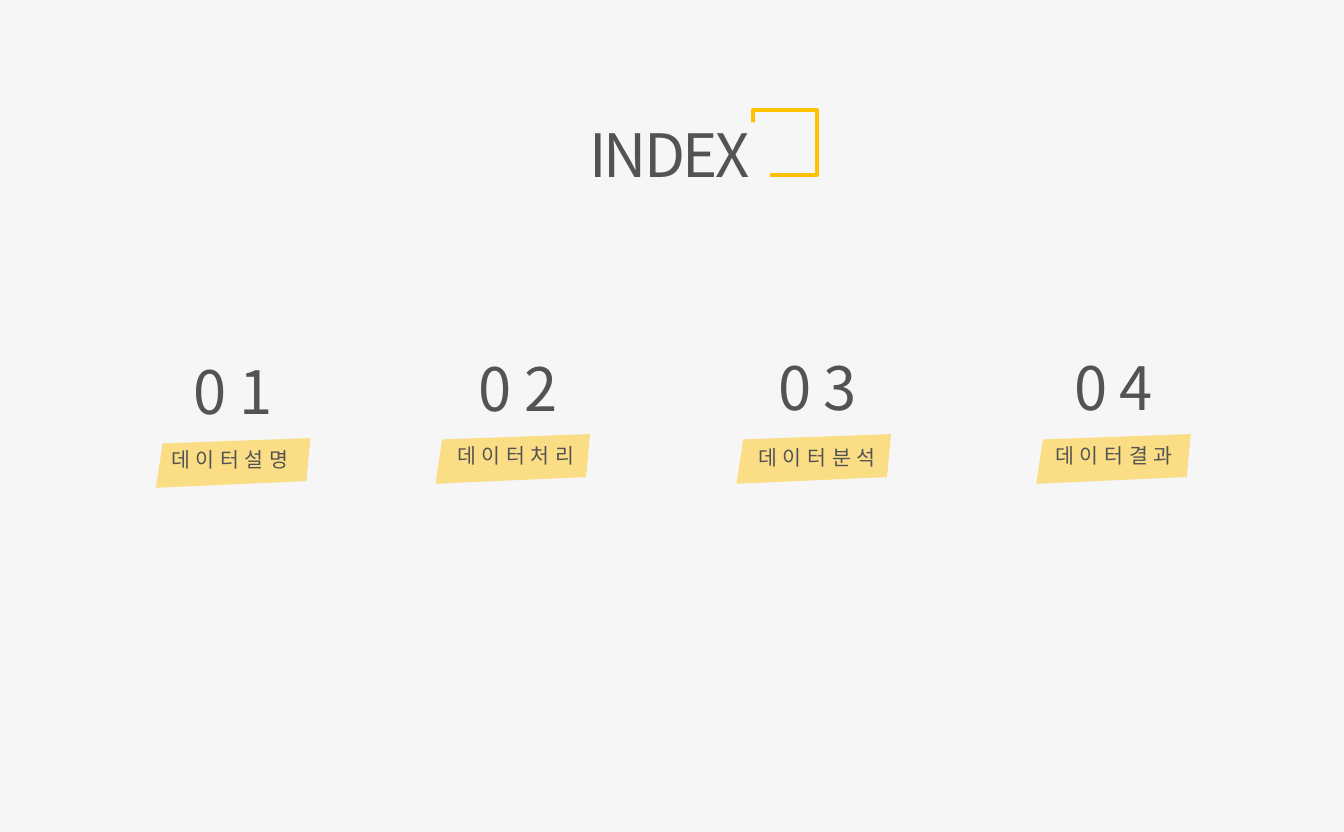
from typing import NamedTuple

from lxml import etree
from pptx import Presentation
from pptx.dml.color import RGBColor
from pptx.enum.shapes import MSO_SHAPE
from pptx.enum.text import MSO_AUTO_SIZE, PP_ALIGN
from pptx.oxml.ns import qn
from pptx.util import Inches, Pt

RECT = MSO_SHAPE.RECTANGLE
CENTER = PP_ALIGN.CENTER
GROW = MSO_AUTO_SIZE.SHAPE_TO_FIT_TEXT

PAPER = RGBColor(0xF6, 0xF6, 0xF6)
GOLD = RGBColor(0xFF, 0xC0, 0x00)
GREY = RGBColor(0x53, 0x53, 0x53)
FONT = "Noto Sans CJK KR"


class Point(NamedTuple):
    x: float
    y: float


class Style(NamedTuple):
    width: float
    height: float
    size: float
    space: float


class Item(NamedTuple):
    num: str
    label: str
    patch: Point
    num_at: Point
    label_at: Point


TITLE = Style(1.44, 0.64, 32, -1.5)
NUMBER = Style(1.15, 0.71, 32, 6.5)
LABEL = Style(1.36, 0.32, 11, 3)

# Corners of the slanted patch, from its top left
PATCH = [Point(0.05, 0.04), Point(1.15, 0), Point(1.12, 0.32), Point(0, 0.37)]

ITEMS = [
    Item("01", "데이터설명", Point(1.16, 3.26), Point(1.16, 2.59), Point(1.03, 3.28)),
    Item("02", "데이터처리", Point(3.24, 3.23), Point(3.28, 2.57), Point(3.16, 3.25)),
    Item("03", "데이터분석", Point(5.48, 3.23), Point(5.51, 2.56), Point(5.4, 3.26)),
    Item("04", "데이터결과", Point(7.71, 3.23), Point(7.71, 2.56), Point(7.61, 3.25)),
]


def add_text(shapes, words: str, at: Point, style: Style) -> None:
    box = shapes.add_textbox(Inches(at.x), Inches(at.y),
                             Inches(style.width), Inches(style.height))
    frame = box.text_frame
    frame.word_wrap = False
    frame.auto_size = GROW
    para = frame.paragraphs[0]
    para.alignment = CENTER
    run = para.add_run()
    run.text = words
    run.font.size = Pt(style.size)
    run.font.name = FONT
    run.font.color.rgb = GREY
    props = run.font._element
    props.set("spc", str(round(style.space * 100)))
    latin = props.find(qn("a:latin"))
    east = etree.Element(qn("a:ea"), typeface=FONT)
    latin.addnext(east)


def add_patch(shapes, at: Point) -> None:
    spots = [(Inches(at.x + p.x), Inches(at.y + p.y)) for p in PATCH]
    path = shapes.build_freeform(*spots[0])
    path.add_line_segments(spots[1:], close=True)
    patch = path.convert_to_shape()
    patch.shadow.inherit = False
    patch.fill.solid()
    patch.fill.fore_color.rgb = GOLD
    patch.line.fill.background()
    color = patch._element.spPr.find(qn("a:solidFill"))[0]
    etree.SubElement(color, qn("a:alpha"), val="46000")


def add_item(shapes, item: Item) -> None:
    add_patch(shapes, item.patch)
    add_text(shapes, item.num, item.num_at, NUMBER)
    add_text(shapes, item.label, item.label_at, LABEL)


def add_title(shapes) -> None:
    """Draw a square frame, a mask that opens its corner, and the title."""
    frame = shapes.add_shape(RECT, Inches(5.6), Inches(0.82),
                             Inches(0.48), Inches(0.48))
    frame.shadow.inherit = False
    frame.fill.background()
    frame.line.color.rgb = GOLD
    frame.line.width = Pt(2.25)

    mask = shapes.add_shape(RECT, Inches(5.39), Inches(0.91),
                            Inches(0.34), Inches(0.48))
    mask.shadow.inherit = False
    mask.fill.solid()
    mask.fill.fore_color.rgb = PAPER
    mask.line.fill.background()

    add_text(shapes, "INDEX", Point(4.26, 0.83), TITLE)


def main() -> None:
    deck = Presentation()
    deck.slide_width = Inches(10)
    deck.slide_height = Inches(6.19)
    slide = deck.slides.add_slide(deck.slide_layouts[6])
    slide.background.fill.solid()
    slide.background.fill.fore_color.rgb = PAPER
    for item in ITEMS:
        add_item(slide.shapes, item)
    add_title(slide.shapes)
    deck.save("out.pptx")


if __name__ == "__main__":
    main()
